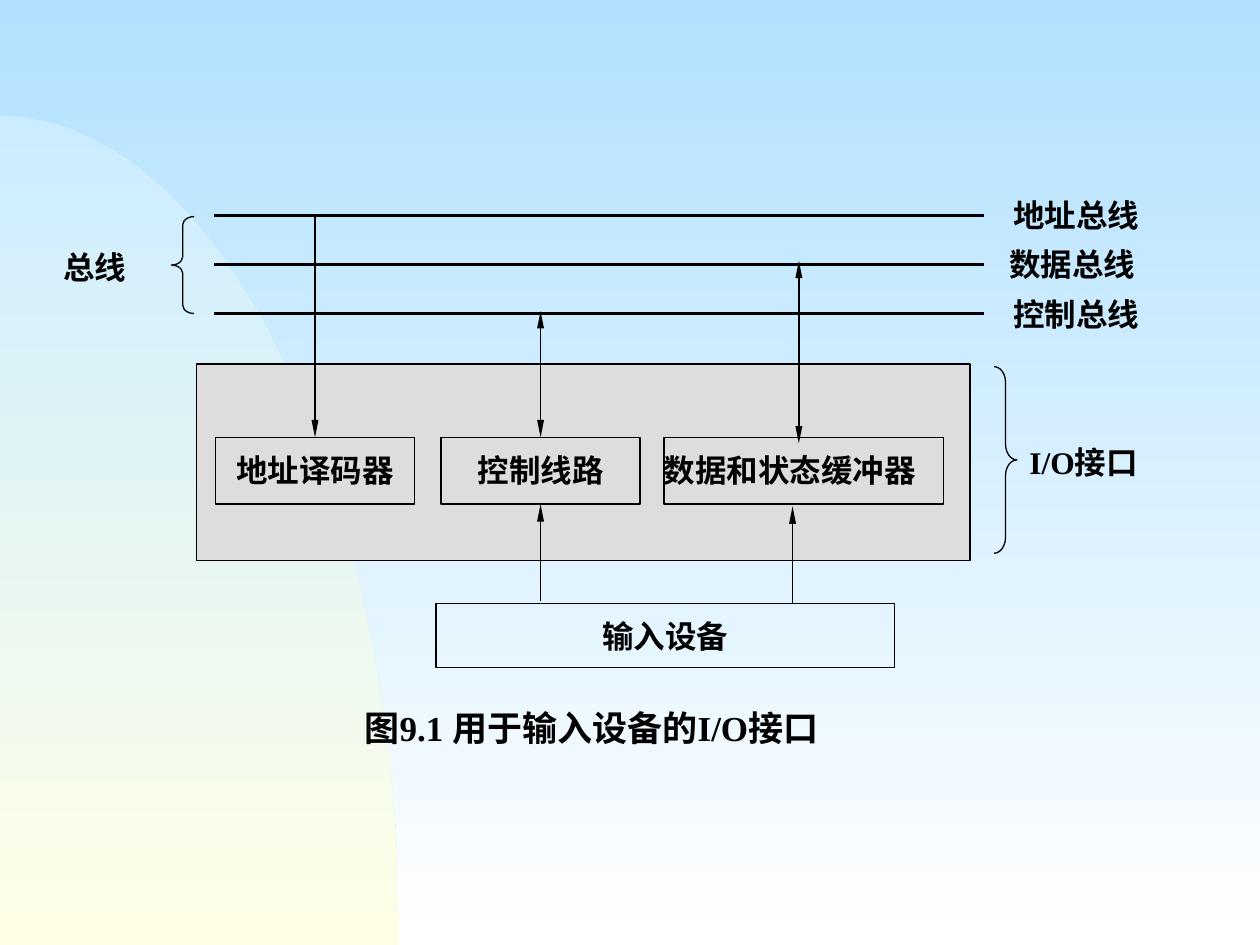
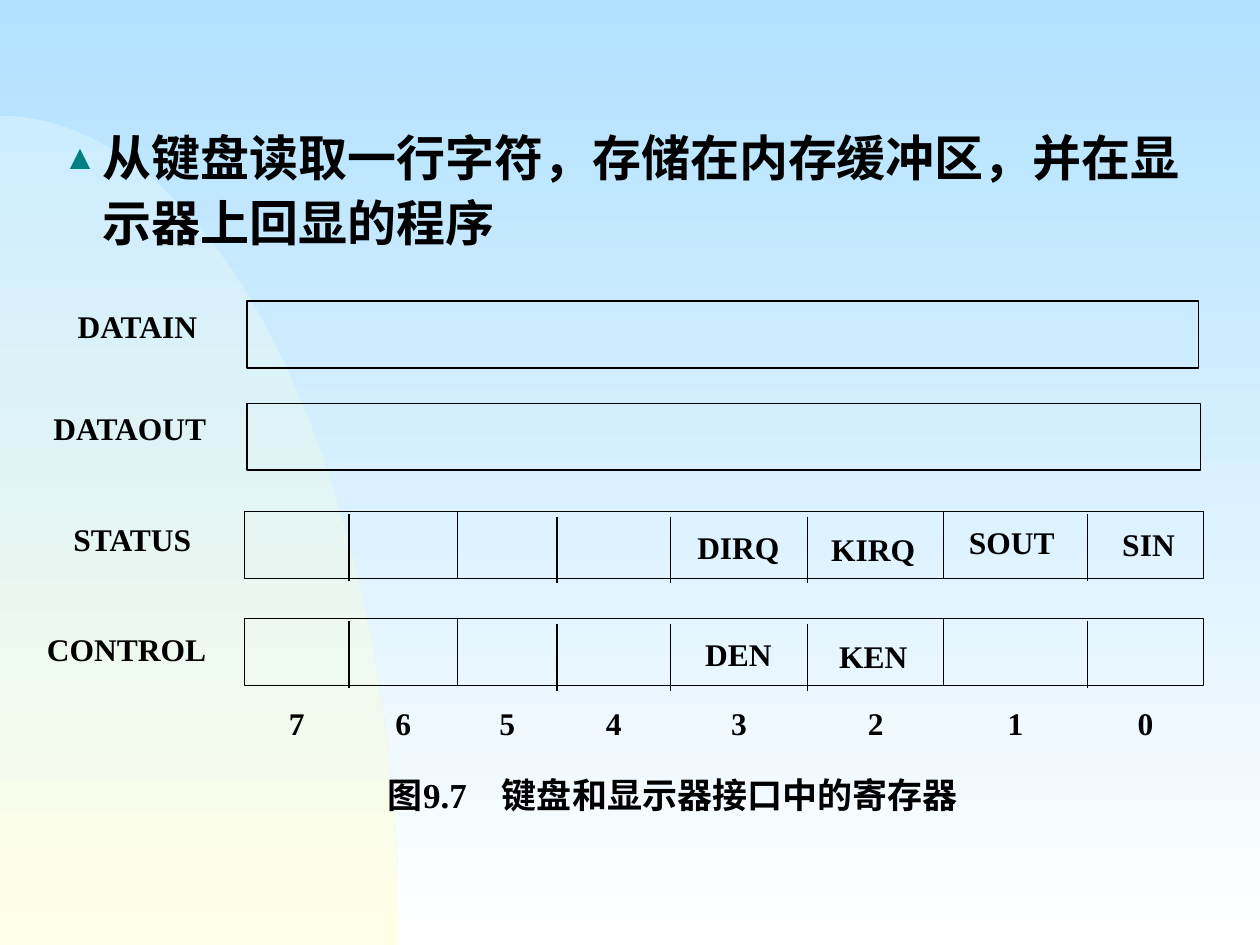
import dataclasses
import itertools
import math

import lxml.etree
import pptx
import pptx.dml.color
import pptx.enum.shapes
import pptx.enum.text
import pptx.oxml.ns
import pptx.util

Pt = pptx.util.Pt
SHAPES = pptx.enum.shapes.MSO_SHAPE
STRAIGHT = pptx.enum.shapes.MSO_CONNECTOR.STRAIGHT
ALIGN = pptx.enum.text.PP_ALIGN
TOP, BOTTOM = 0, 2

DIVIDERS = ((59.8, 1.4), (121.7, 0), (178.6, 2.9), (243.4, 2.9),
            (321.8, 2.9), (399.6, 0), (481.7, 1.4))
FLAG_BOXES = {3: (247.7, 5.8, 69.1, 32), 2: (323.3, 7.2, 72, 31),
              1: (401, 2.9, 74.9, 35), 0: (486, 4.3, 61.2, 32)}
REGISTERS = (
    ("DATAIN", (1.4, 0, 543.6), (-108.7, 0, 95), None),
    ("DATAOUT", (1.4, 58.3, 545), (-120.2, 0, 109.4), None),
    ("STATUS", (0, 120.2, 547.9), (-111.6, 1.4, 95),
     {3: "DIRQ", 2: "KIRQ", 1: "SOUT", 0: "SIN"}),
    ("CONTROL", (0, 181.4, 547.9), (-121.7, 2.9, 108.7), {3: "DEN", 2: "KEN"}),
)


@dataclasses.dataclass(frozen=True)
class Theme:
    """Colours, fonts and sizes shared by the pages."""
    sky: tuple = ("B1E1FF", "FFFFFF")
    hill: tuple = ("CCECFF", "FFFFE7")
    ink: str = "000000"
    panel: str = "DDDDDD"
    bullet: str = "008080"
    latin: str = "Times New Roman"
    asian: str = "Noto Sans CJK SC"
    label: float = 18
    caption: float = 20
    heading: float = 28
    thin: float = 0.75
    bus: float = 1.5


@dataclasses.dataclass(frozen=True)
class Box:
    """A rectangle in points."""
    left: float
    top: float
    width: float
    height: float

    def inside(self, left, top, width, height):
        """Return a box placed relative to this one."""
        return Box(self.left + left, self.top + top, width, height)

    def lengths(self):
        """Return the four lengths for python-pptx."""
        return [Pt(value) for value in dataclasses.astuple(self)]


THEME = Theme()


def colour(value):
    """Return an RGB colour from its hex digits."""
    return pptx.dml.color.RGBColor.from_string(value)


def assign(target, formats):
    """Set every attribute named in a dict of format values."""
    for name, value in formats.items():
        setattr(target, name, value)


def add_xml(parent, tag, **attributes):
    """Append a DrawingML element and return it."""
    return lxml.etree.SubElement(parent, pptx.oxml.ns.qn(tag), attributes)


def paint_gradient(fill, colours):
    """Fill from top to bottom with two colours."""
    fill.gradient()
    fill.gradient_angle = 270
    for stop, value in zip(fill.gradient_stops, colours):
        stop.color.rgb = colour(value)


def write(shape, lines, size=THEME.label, font=THEME.latin, align=ALIGN.CENTER,
          spacing=1.0, inset=0):
    """Write bold lines into a shape and return its paragraphs."""
    frame = shape.text_frame
    assign(frame, {"word_wrap": True, "margin_left": Pt(inset), "margin_right": Pt(inset),
                   "margin_top": Pt(3.6), "margin_bottom": Pt(3.6),
                   "vertical_anchor": pptx.enum.text.MSO_ANCHOR.TOP})
    for index, line in enumerate(lines):
        para = frame.add_paragraph() if index else frame.paragraphs[0]
        assign(para, {"alignment": align, "line_spacing": spacing})
        span = para.add_run()
        span.text = line
        assign(span.font, {"name": font, "size": Pt(size), "bold": True})
        span.font.color.rgb = colour(THEME.ink)
        add_xml(span.font._element, "a:ea", typeface=THEME.asian)
    return frame.paragraphs


def add_label(page, box, lines, **formats):
    """Add a text box."""
    return write(page.shapes.add_textbox(*box.lengths()), lines, **formats)


def add_outline(page, box, preset=SHAPES.RECTANGLE, fill=None, bend=None):
    """Add a thinly outlined preset shape."""
    shape = page.shapes.add_shape(preset, *box.lengths())
    shape.shadow.inherit = False
    if fill:
        shape.fill.solid()
        shape.fill.fore_color.rgb = colour(fill)
    else:
        shape.fill.background()
    shape.line.color.rgb = colour(THEME.ink)
    shape.line.width = Pt(THEME.thin)
    if bend:
        shape.adjustments[0] = bend
    return shape


def add_block(page, box, text, align=ALIGN.CENTER):
    """Add an outlined rectangle with a name in it."""
    block = add_outline(page, box)
    write(block, [text], align=align, spacing=1.2)
    return block


def add_line(page, start, end, width=THEME.thin, arrows=()):
    """Add a straight line with arrowheads at the named ends."""
    line = page.shapes.add_connector(STRAIGHT, *(Pt(value) for value in (*start, *end)))
    line.line.color.rgb = colour(THEME.ink)
    line.line.width = Pt(width)
    for arrow in arrows:
        add_xml(line.line._get_or_add_ln(), f"a:{arrow}", type="triangle", w="sm", len="lg")
    add_xml(line._element.spPr, "a:effectLst")
    return line


def add_page(deck):
    """Add a blank page with the sky and the hill."""
    page = deck.slides.add_slide(deck.slide_layouts[6])
    paint_gradient(page.background.fill, THEME.sky)
    draw_hill(page, Box(0, 66.2, 228.2, 473.8))
    return page


def draw_hill(page, box):
    """Draw a quarter ellipse that fills the box."""
    steps = 48
    angles = [math.pi / 2 * step / steps for step in range(steps + 1)]
    points = [(Pt(box.left + box.width * math.sin(angle)),
               Pt(box.top + box.height * (1 - math.cos(angle)))) for angle in angles]
    points.append((Pt(box.left), Pt(box.top + box.height)))
    builder = page.shapes.build_freeform(*points[0])
    builder.add_line_segments(points[1:], close=True)
    hill = builder.convert_to_shape()
    hill.shadow.inherit = False
    paint_gradient(hill.fill, THEME.hill)
    hill.line.fill.background()


def draw_buses(page, box):
    """Draw the three bus lines with their names and brace."""
    for index in range(3):
        left, level = box.left + 86.4, box.top + 21.1 + 28.1 * index
        add_line(page, (left, level), (left + 440, level), THEME.bus)
    add_outline(page, box.inside(61.9, 21.8, 13, 55.4), SHAPES.LEFT_BRACE, bend=0.36)
    add_label(page, box.inside(521.3, 0.2, 115.2, 95),
              ["地址总线", "数据总线 ", "控制总线"], spacing=1.3)
    add_label(page, box.inside(0, 29.8, 61.2, 36.7), ["总线"],
              align=ALIGN.JUSTIFY, spacing=1.3)


def draw_interface(page, box):
    """Draw the interface panel and return its control block."""
    add_outline(page, box, fill=THEME.panel)
    decoder = add_block(page, box.inside(10.8, 41.8, 113.8, 38.2), "地址译码器")
    control = add_block(page, box.inside(139.7, 41.8, 113.8, 38.2), "控制线路")
    add_block(page, box.inside(267.1, 41.8, 159.8, 38.2), "数据和状态缓冲器", ALIGN.JUSTIFY)
    for block, rise, arrows in ((decoder, 85.7, ["tailEnd"]),
                                (control, 30.3, ["headEnd", "tailEnd"])):
        centre = (block.left + block.width / 2) / Pt(1)
        arrow = add_line(page, (centre, box.top - rise), (centre, box.top), arrows=arrows)
        arrow.end_connect(block, TOP)
    centre = box.left + 344.2
    add_line(page, (centre, box.top - 59.1), (centre, box.top + 45.3),
             arrows=["headEnd", "tailEnd"])
    add_outline(page, box.inside(455.8, 1.4, 13, 106.6), SHAPES.RIGHT_BRACE, bend=0.69)
    add_label(page, box.inside(475.9, 33.8, 89.3, 36.7), ["I/O接口"],
              align=ALIGN.JUSTIFY, spacing=1.35)
    return control


def draw_device(page, box, control):
    """Draw the input device and its arrows up to the interface."""
    add_block(page, box, "输入设备")
    centre = (control.left + control.width / 2) / Pt(1)
    arrow = add_line(page, (centre, box.top - 1.5), (centre, box.top - 56), arrows=["tailEnd"])
    arrow.end_connect(control, BOTTOM)
    centre = box.left + 203.8
    add_line(page, (centre, box.top), (centre, box.top - 55.5), arrows=["tailEnd"])


def draw_heading(page, box, text):
    """Write the heading with its triangular bullet."""
    para = add_label(page, box, [text], size=THEME.heading, font=THEME.asian,
                     align=ALIGN.LEFT, spacing=1.1, inset=7.2)[0]
    properties = para._p.get_or_add_pPr()
    properties.set("marL", str(Pt(23)))
    properties.set("indent", str(-Pt(23)))
    add_xml(add_xml(properties, "a:buClr"), "a:srgbClr", val=THEME.bullet)
    add_xml(properties, "a:buSzPct", val="71000")
    add_xml(properties, "a:buFont", typeface=THEME.latin)
    add_xml(properties, "a:buChar", char="▲")


def draw_bits(page, box, flags):
    """Divide a register into bits and name its flags."""
    for offset, drop in DIVIDERS:
        left, top = box.left + offset, box.top + drop
        add_line(page, (left, top), (left, top + box.height))
    for bit, flag in flags.items():
        add_label(page, box.inside(*FLAG_BOXES[bit]), [flag], inset=7.2)


def draw_registers(page, box):
    """Draw the registers, their names and the bit numbers."""
    for name, (left, top, width), (shift, drop, span), flags in REGISTERS:
        bar = box.inside(left, top, width, 38.2)
        add_outline(page, bar)
        add_label(page, box.inside(shift, top + drop, span, 35.3), [name], inset=7.2)
        if flags:
            draw_bits(page, bar, flags)
    edges = [0, *(offset for offset, drop in DIVIDERS), box.width]
    for index, (left, right) in enumerate(itertools.pairwise(edges)):
        add_label(page, box.inside(left, 226.8, right - left, 38.2), [str(7 - index)])


def draw_caption(page, box, text, **formats):
    """Write the figure caption."""
    add_label(page, box, [text], size=THEME.caption, **formats)


def build_interface_page(deck):
    """Build the page on the input interface."""
    page = add_page(deck)
    draw_buses(page, Box(36, 102, 636, 96))
    control = draw_interface(page, Box(112.3, 208.1, 442.1, 112.3))
    draw_device(page, Box(249.1, 344.9, 262.1, 36.7), control)
    draw_caption(page, Box(187.9, 400.3, 300.2, 33.8), "图9.1 用于输入设备的I/O接口")


def build_registers_page(deck):
    """Build the page on the keyboard and display registers."""
    page = add_page(deck)
    draw_heading(page, Box(28.8, 66.2, 667.4, 81.4),
                 "从键盘读取一行字符，存储在内存缓冲区，并在显示器上回显的程序")
    draw_registers(page, Box(139.7, 172.1, 547.9, 265))
    draw_caption(page, Box(214.6, 438.5, 361.4, 42.5), "图9.7　键盘和显示器接口中的寄存器",
                 align=ALIGN.JUSTIFY, inset=7.2)


def main():
    """Build and save the deck."""
    deck = pptx.Presentation()
    assign(deck, {"slide_width": Pt(720), "slide_height": Pt(540)})
    build_interface_page(deck)
    build_registers_page(deck)
    deck.save("out.pptx")


if __name__ == "__main__":
    main()
